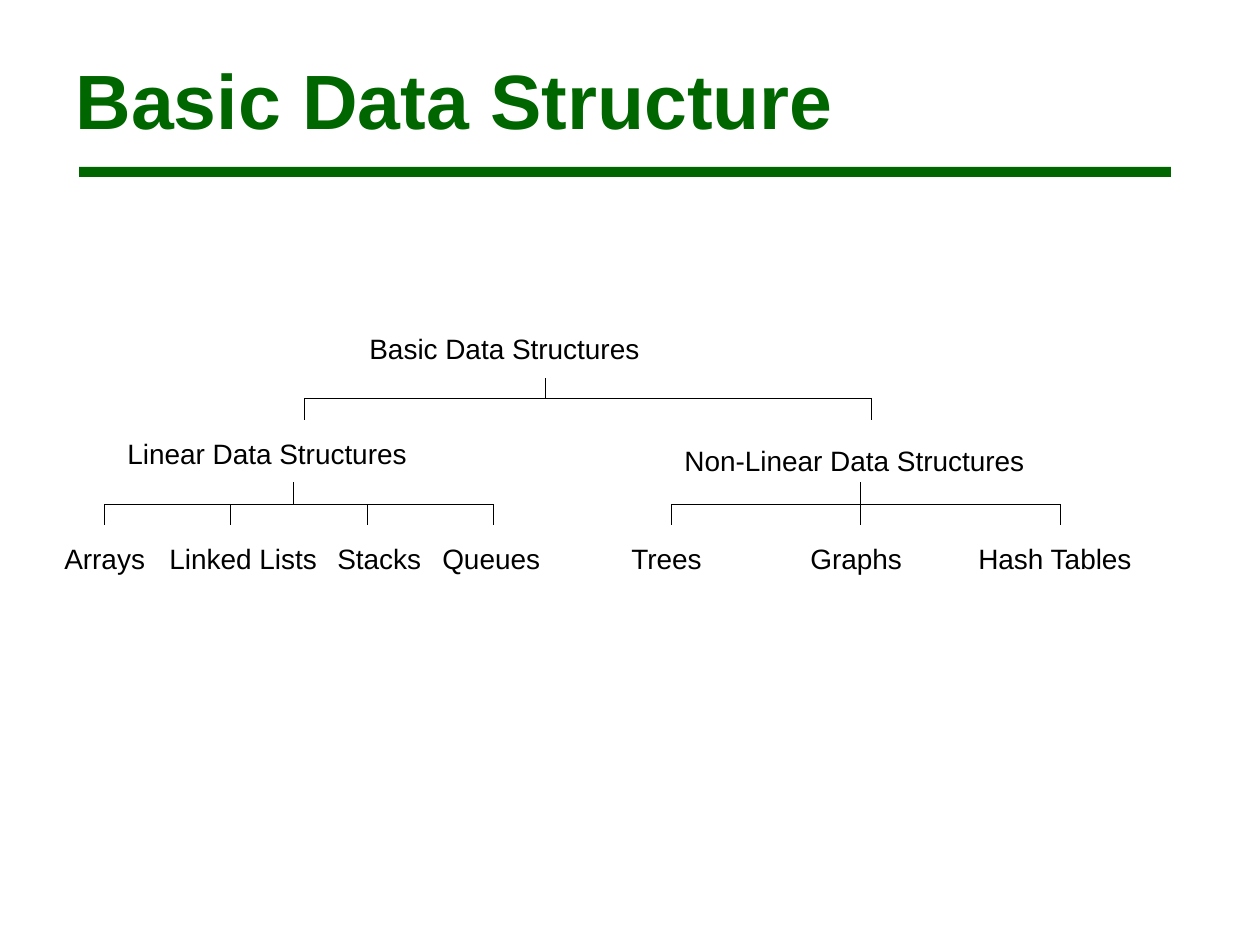
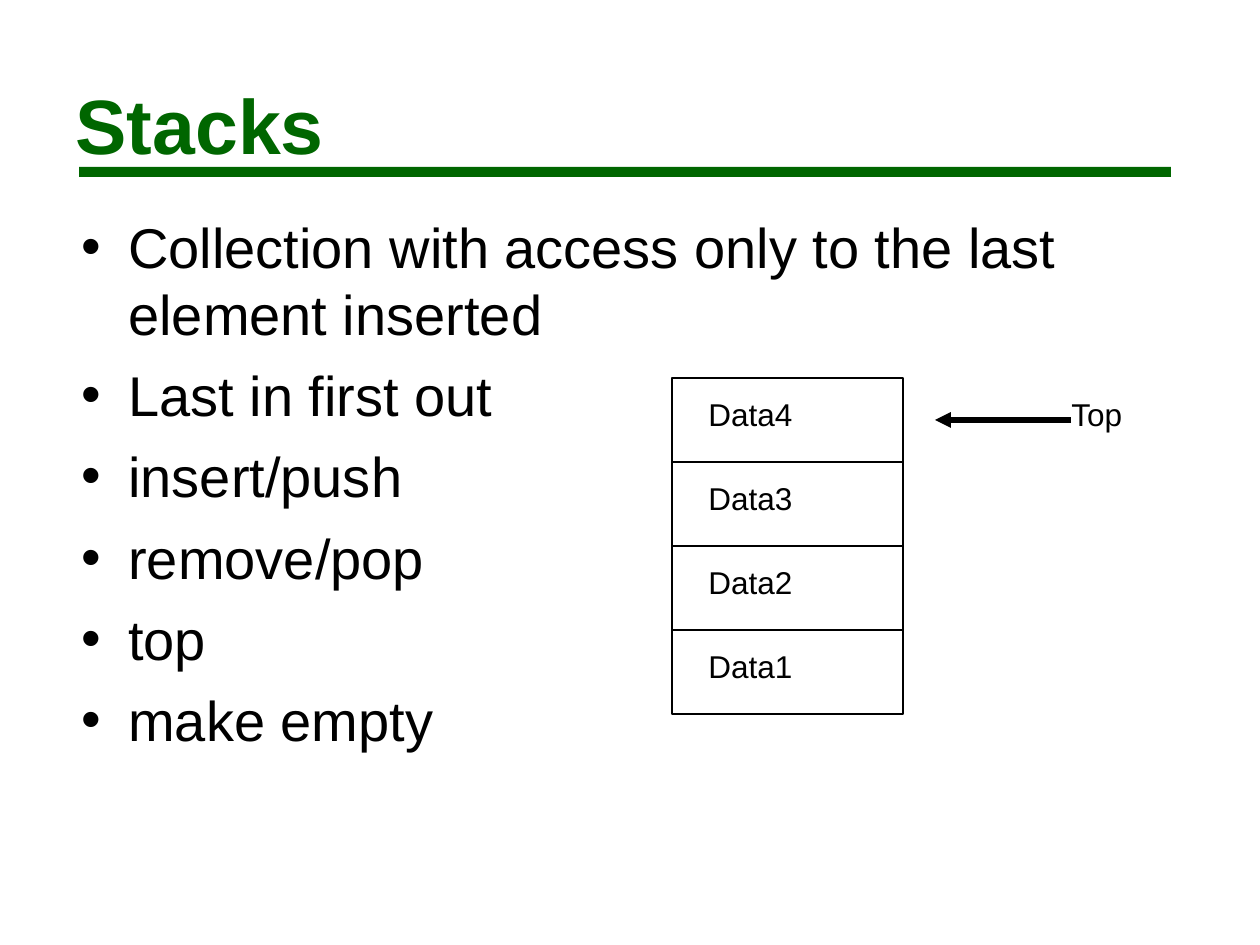
from dataclasses import dataclass
from lxml.etree import SubElement as Sub
from pptx import Presentation
from pptx.dml.color import RGBColor as Rgb
from pptx.enum.shapes import MSO_CONNECTOR as Conn, MSO_SHAPE as Form
from pptx.enum.text import MSO_ANCHOR as Anchor, MSO_AUTO_SIZE as Fit, PP_ALIGN as Align
from pptx.oxml.ns import qn
from pptx.util import Emu, Pt


@dataclass(frozen=True)
class Theme:
    font: str = "Arial"
    green: Rgb = Rgb(0, 0x66, 0)
    black: Rgb = Rgb(0, 0, 0)
    head: int = 44
    body: int = 32
    data: int = 18
    node: int = 16
    thin: float = 0.75
    thick: int = 3
    gap: int = 8


look = Theme()
scale = 914400 / 126
wide, high = 1260, 945
rule = (79, 167, 1092, 10)

heads = [("Basic Data Structure", 48), ("Stacks", 73)]

row, drop = 535, 21
nodes = [
    ("Basic Data Structures", 357, 325, 347),
    ("Linear Data Structures", 115, 430, 347),
    ("Non-Linear Data Structures", 672, 437, 410),
    ("Arrays", 52, row, 116),
    ("Linked Lists", 157, row, 189),
    ("Stacks", 325, row, 116),
    ("Queues", 430, row, 136),
    ("Trees", 619, row, 116),
    ("Graphs", 798, row, 158),
    ("Hash Tables", 966, row, 199),
]
forks = [
    (546, 378, (305, 872)),
    (294, 483, (105, 231, 368, 494)),
    (861, 483, (672, 861, 1061)),
]

points = [
    "Collection with access only to the last element inserted",
    "Last in first out",
    "insert/push",
    "remove/pop",
    "top",
    "make empty",
]
stack = ["Data4", "Data3", "Data2", "Data1"]
cell = (672, 378, 231, 84)
inset = (24, 11)


def px(*nums):
    return [Emu(round(n * scale)) for n in nums]


def style(para, size, color, bold=False):
    font = para.font
    font.name, font.size, font.bold = look.font, Pt(size), bold
    font.color.rgb = color


def write(slide, text, place, size, wrap=True):
    box = slide.shapes.add_textbox(*px(*place))
    frame = box.text_frame
    frame.word_wrap = wrap
    frame.text = text
    for para in frame.paragraphs:
        style(para, size, look.black)
    return frame


def draw(slide, x1, y1, x2, y2):
    link = slide.shapes.add_connector(Conn.STRAIGHT, *px(x1, y1, x2, y2))
    link.line.color.rgb = look.black
    Sub(link.element.spPr, qn("a:effectLst"))
    link.element.remove(link.element.find(qn("p:style")))
    return link


def block(slide, place):
    shape = slide.shapes.add_shape(Form.RECTANGLE, *px(*place))
    shape.shadow.inherit = False
    return shape


def start(deck, text, top):
    slide = deck.slides.add_slide(deck.slide_layouts[5])
    title = slide.shapes.title
    title.left, title.top, title.width, title.height = px(63, top, 1134, 101)
    frame = title.text_frame
    frame.text = text
    frame.auto_size = Fit.NONE
    frame.vertical_anchor = Anchor.MIDDLE
    para = frame.paragraphs[0]
    para.alignment = Align.LEFT
    style(para, look.head, look.green, True)
    return slide


def brand(slide):
    bar = block(slide, rule)
    bar.fill.solid()
    bar.fill.fore_color.rgb = look.green
    bar.line.fill.background()
    slide.slide_layout.shapes.element.append(bar.element)


def tree(slide):
    for text, x, y, w in nodes:
        write(slide, text, (x, y, w, 47), look.node)
    for stem, top, kids in forks:
        mid = top + drop
        draw(slide, stem, top, stem, mid)
        draw(slide, kids[0], mid, kids[-1], mid)
        for x in kids:
            draw(slide, x, mid, x, mid + drop)


def bullets(slide):
    frame = write(slide, "\n".join(points), (69, 206, 1134, 624), look.body)
    dent = px(47)[0]
    for i, para in enumerate(frame.paragraphs):
        if i:
            para.space_before = Pt(look.gap)
        props = para._p.get_or_add_pPr()
        props.set("marL", str(dent))
        props.set("indent", str(-dent))
        Sub(props, qn("a:buFont")).set("typeface", look.font)
        Sub(props, qn("a:buChar")).set("char", "•")
        props.append(props.find(qn("a:defRPr")))


def pile(slide):
    x, y, w, h = cell
    dx, dy = inset
    for i, text in enumerate(stack):
        top = y + i * h
        box = block(slide, (x, top, w, h))
        box.fill.background()
        box.line.color.rgb = look.black
        box.line.width = Pt(look.thin)
        write(slide, text, (x + dx, top + dy, 112, 50), look.data)
    mid = y + h // 2
    arrow = draw(slide, 1071, mid, 935, mid)
    arrow.line.width = Pt(look.thick)
    Sub(arrow.line._get_or_add_ln(), qn("a:tailEnd")).set("type", "triangle")
    write(slide, "Top", (1059, y + dy, 84, 50), look.data)


def main():
    deck = Presentation()
    deck.slide_width, deck.slide_height = px(wide, high)
    first, second = [start(deck, *head) for head in heads]
    brand(first)
    tree(first)
    bullets(second)
    pile(second)
    deck.save("out.pptx")


if __name__ == "__main__":
    main()
